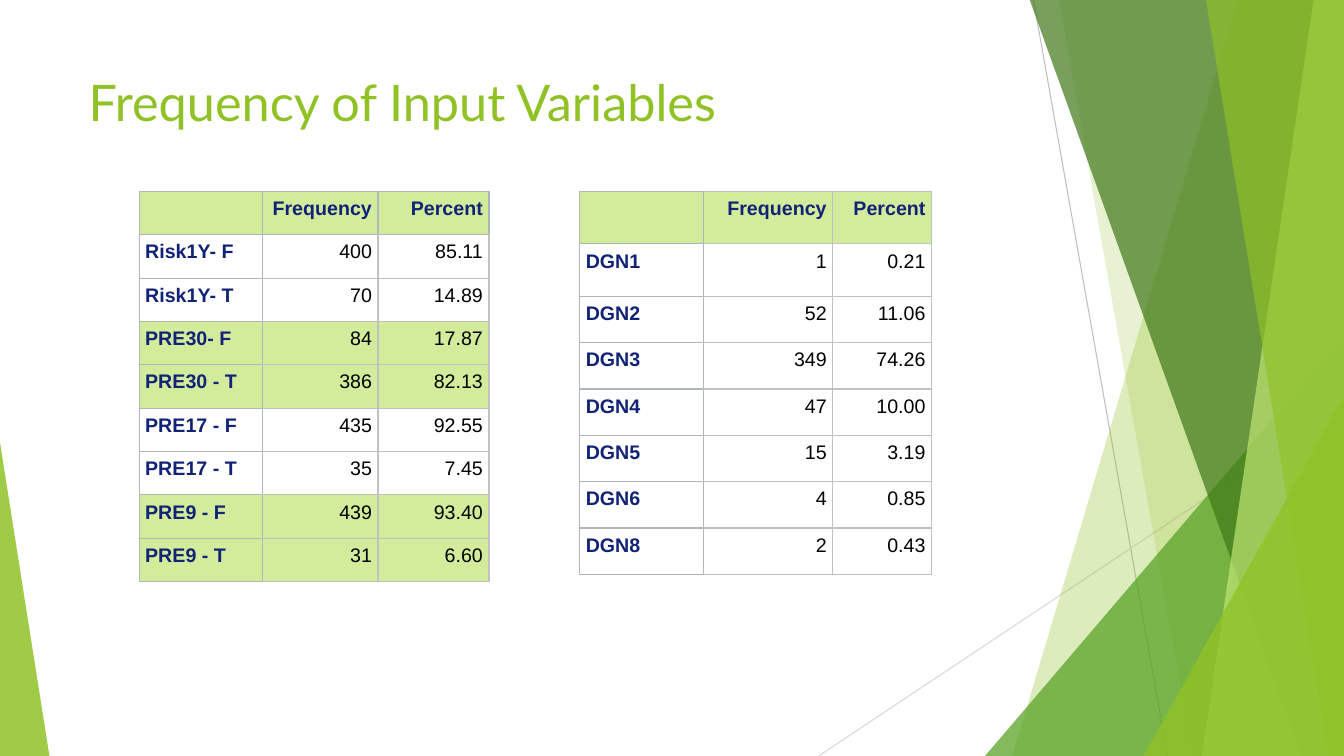
from lxml.etree import SubElement
from pptx import Presentation
from pptx.dml.color import RGBColor
from pptx.enum.shapes import MSO_CONNECTOR, MSO_SHAPE
from pptx.enum.text import PP_ALIGN
from pptx.oxml.ns import qn
from pptx.util import Inches, Pt

WIDTH, HEIGHT = 13.33, 7.5
COLORS = {
    "lime": "90C226", "green": "54A021", "forest": "3F7818", "pale": "BFE471",
    "white": "FFFFFF", "black": "000000", "navy": "112277",
    "border": "B0B7BB", "inner_border": "C1C1C1",
    "steep_line": "BFBFBF", "flat_line": "D8D8D8",
}

HEADER = ("", "Frequency", "Percent")
RISK_ROWS = [
    HEADER,
    ("Risk1Y- F", "400", "85.11"),
    ("Risk1Y- T", "70", "14.89"),
    ("PRE30- F", "84", "17.87"),
    ("PRE30 - T", "386", "82.13"),
    ("PRE17 - F", "435", "92.55"),
    ("PRE17 - T", "35", "7.45"),
    ("PRE9 - F", "439", "93.40"),
    ("PRE9 - T", "31", "6.60"),
]
DGN_ROWS = [
    HEADER,
    ("DGN1", "1", "0.21"),
    ("DGN2", "52", "11.06"),
    ("DGN3", "349", "74.26"),
    ("DGN4", "47", "10.00"),
    ("DGN5", "15", "3.19"),
    ("DGN6", "4", "0.85"),
    ("DGN8", "2", "0.43"),
]


def rgb(name):
    return RGBColor.from_string(COLORS[name])


def set_fill(fill, color, alpha=100):
    fill.solid()
    fill.fore_color.rgb = rgb(color)
    if alpha < 100:
        clr = fill._xPr.find(qn("a:solidFill"))[0]
        SubElement(clr, qn("a:alpha"), val=str(alpha * 1000))


def style_facet(s, color, alpha):
    s.shadow.inherit = False
    s.line.fill.background()
    set_fill(s.fill, color, alpha)


def add_line(slide, x1, y1, x2, y2, color):
    s = slide.shapes.add_connector(MSO_CONNECTOR.STRAIGHT, Inches(x1), Inches(y1),
                                   Inches(x2), Inches(y2))
    s.line.color.rgb = rgb(color)
    s.line.width = Pt(0.75)
    SubElement(s._element.spPr, qn("a:effectLst"))


def add_facet(slide, top_x, bottom_x, color, alpha):
    """Full-height panel with a slanted left side, ending at the slide's right edge."""
    top = -0.01
    corners = [(top_x, top), (WIDTH, top), (WIDTH, HEIGHT), (bottom_x, HEIGHT)]
    points = [(Inches(x), Inches(y)) for x, y in corners]
    builder = slide.shapes.build_freeform(*points[0])
    builder.add_line_segments(points[1:], close=True)
    style_facet(builder.convert_to_shape(), color, alpha)


def add_triangle(slide, x, y, w, apex, color, alpha):
    """Triangle standing on the slide's bottom edge."""
    s = slide.shapes.add_shape(MSO_SHAPE.ISOSCELES_TRIANGLE, Inches(x), Inches(y),
                               Inches(w), Inches(HEIGHT - y))
    s.adjustments[0] = apex
    style_facet(s, color, alpha)


def add_title(slide, text):
    s = slide.shapes.add_textbox(Inches(0.78), Inches(0.61), Inches(9.37), Inches(0.8))
    tf = s.text_frame
    tf.word_wrap = True
    tf.margin_left = tf.margin_right = tf.margin_top = tf.margin_bottom = Inches(0.1)
    p = tf.paragraphs[0]
    p.text = text
    p.font.name = "Lato"
    p.font.size = Pt(36)
    p.font.color.rgb = rgb("lime")


def add_border(cell, side, color):
    ln = SubElement(cell._tc.get_or_add_tcPr(), qn(f"a:ln{side}"), w=str(Pt(1)))
    SubElement(SubElement(ln, qn("a:solidFill")), qn("a:srgbClr"), val=COLORS[color])


def fill_cell(cell, text, is_label, is_number, shaded):
    cell.margin_left = cell.margin_right = Inches(0.06)
    cell.margin_top = cell.margin_bottom = Inches(0.03)
    set_fill(cell.fill, "pale" if shaded else "white", 70 if shaded else 100)
    p = cell.text_frame.paragraphs[0]
    p.text = text
    p.alignment = PP_ALIGN.RIGHT if is_number else PP_ALIGN.LEFT
    p.line_spacing = 1.15
    p.space_after = Pt(12)
    p.font.name = "Arial"
    p.font.size = Pt(14)
    p.font.bold = is_label
    p.font.color.rgb = rgb("navy" if is_label else "black")


def add_frequency_table(slide, x, rows, widths, heights, shaded_rows, strong_header):
    s = slide.shapes.add_table(len(rows), len(widths), Inches(x), Inches(1.9),
                               Inches(sum(widths)), Inches(sum(heights)))
    table = s.table
    table.first_row = table.horz_banding = False
    for col, w in zip(table.columns, widths):
        col.width = Inches(w)
    for row, h in zip(table.rows, heights):
        row.height = Inches(h)

    def strong(i, j):
        return j == 0 or (i == 0 and strong_header)

    for i, values in enumerate(rows):
        for j, text in enumerate(values):
            cell = table.cell(i, j)
            # An edge takes the stronger colour of the two cells it parts
            neighbours = {"L": (i, j - 1), "R": (i, j + 1),
                          "T": (i - 1, j), "B": (i + 1, j)}
            for side, other in neighbours.items():
                outer = strong(i, j) or strong(*other)
                add_border(cell, side, "border" if outer else "inner_border")
            fill_cell(cell, text, i == 0 or j == 0, j > 0, i in shaded_rows)


def add_background(slide):
    add_line(slide, 10.25, 0, 11.58, HEIGHT, "steep_line")
    add_line(slide, WIDTH, 4.03, 8.12, HEIGHT, "flat_line")
    add_facet(slide, 12.28, 10.04, "lime", 30)
    add_facet(slide, 10.5, 11.83, "lime", 20)
    add_triangle(slide, 9.77, 3.33, 3.56, 1, "green", 72)
    add_facet(slide, 10.21, 12.91, "forest", 70)
    add_facet(slide, 13.03, 11.92, "pale", 70)
    add_facet(slide, 11.96, 13.18, "lime", 65)
    add_triangle(slide, 11.34, 3.93, 1.99, 1, "lime", 80)
    add_triangle(slide, 0, 4.39, 0.49, 0, "lime", 85)


def main():
    prs = Presentation()
    prs.slide_width, prs.slide_height = Inches(WIDTH), Inches(HEIGHT)
    slide = prs.slides.add_slide(prs.slide_layouts[6])

    add_background(slide)
    add_title(slide, "Frequency of Input Variables")

    # Risk and condition variables, shaded in pairs
    add_frequency_table(slide, 1.38, RISK_ROWS, [1.22, 1.15, 1.1], [0.43] * 9,
                        {0, 3, 4, 7, 8}, True)
    # Diagnosis codes
    add_frequency_table(slide, 5.75, DGN_ROWS, [1.23, 1.28, 0.98],
                        [0.52] * 2 + [0.46] * 6, {0}, False)
    prs.save("out.pptx")


if __name__ == "__main__":
    main()
